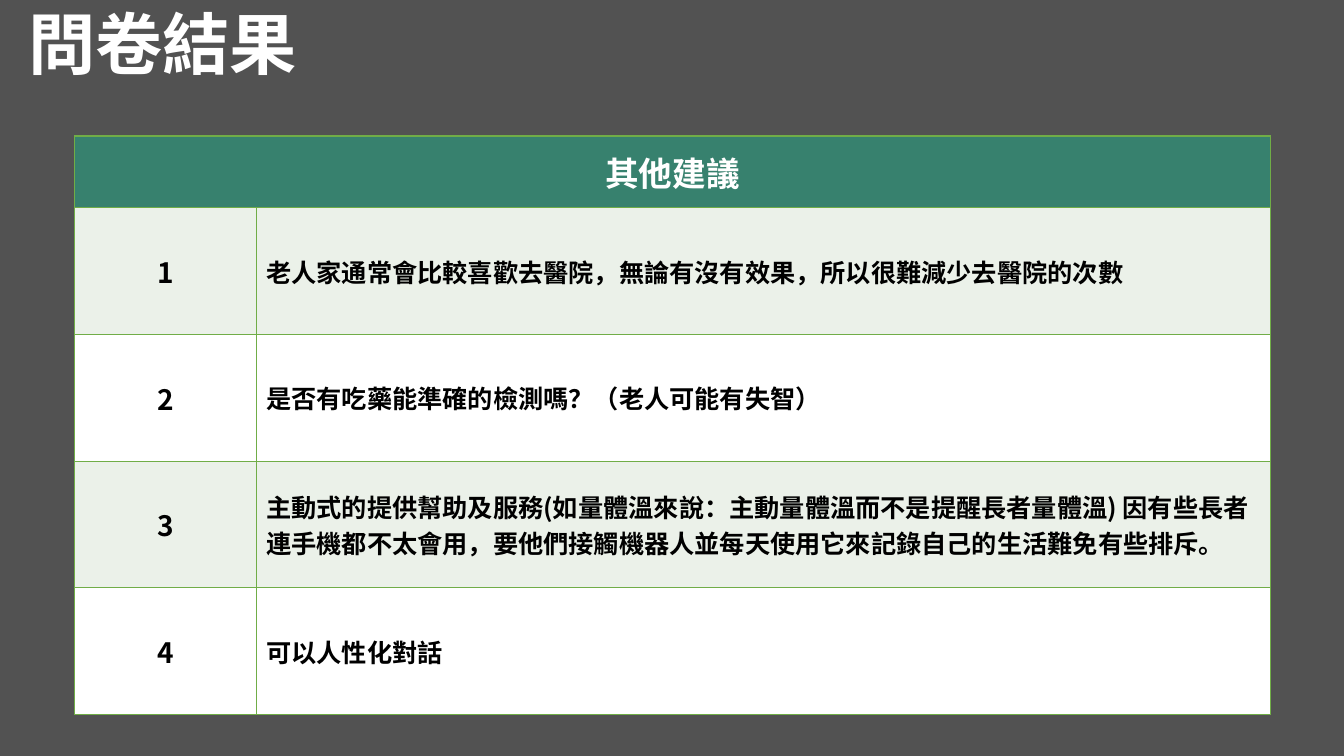
from lxml import etree
from pptx import Presentation
from pptx.dml.color import RGBColor
from pptx.enum.text import MSO_ANCHOR, MSO_AUTO_SIZE, PP_ALIGN
from pptx.oxml.ns import qn
from pptx.util import Inches, Pt

CENTER, LEFT = PP_ALIGN.CENTER, PP_ALIGN.LEFT
MIDDLE, TOP = MSO_ANCHOR.MIDDLE, MSO_ANCHOR.TOP
NO_AUTOFIT = MSO_AUTO_SIZE.NONE
TITLE_ONLY = 5

WIDTH, HEIGHT = 13.33, 7.5
FONT = "Noto Sans CJK SC"
COLORS = {
    "background": "525252",
    "header": "37816E",
    "band": "EBF1E9",
    "plain": "FFFFFF",
    "border": "70AD47",
    "light_text": "FFFFFF",
    "dark_text": "000000",
}

SUGGESTIONS = [
    "老人家通常會比較喜歡去醫院，無論有沒有效果，所以很難減少去醫院的次數",
    "是否有吃藥能準確的檢測嗎？（老人可能有失智）",
    "主動式的提供幫助及服務(如量體溫來說：主動量體溫而不是提醒長者量體溫) "
    "因有些長者連手機都不太會用，要他們接觸機器人並每天使用它來記錄自己的生活難免有些排斥。",
    "可以人性化對話",
]


class SurveySlide:
    def __init__(self, presentation):
        self.slide = presentation.slides.add_slide(
            presentation.slide_layouts[TITLE_ONLY])
        self.width = presentation.slide_width
        self.height = presentation.slide_height
        background = self.slide.background.fill
        background.solid()
        background.fore_color.rgb = self.color("background")

    def color(self, name):
        return RGBColor.from_string(COLORS[name])

    def box(self, left, top, width, height):
        """Turn shares of the slide's size into lengths."""
        return (int(left * self.width), int(top * self.height),
                int(width * self.width), int(height * self.height))

    def set_text(self, frame, text, size, color, align):
        frame.text = text
        paragraph = frame.paragraphs[0]
        paragraph.alignment = align
        for run in paragraph.runs:
            run.font.size = Pt(size)
            run.font.bold = True
            run.font.name = FONT
            run.font.color.rgb = self.color(color)
            properties = run._r.get_or_add_rPr()
            etree.SubElement(properties, qn("a:ea"), typeface=FONT)

    def title(self, text, left, top, width, height):
        heading = self.slide.shapes.title
        heading.left, heading.top, heading.width, heading.height = self.box(
            left, top, width, height)
        frame = heading.text_frame
        self.set_text(frame, text, 48, "light_text", CENTER)
        frame.word_wrap = False
        frame.auto_size = NO_AUTOFIT
        frame.vertical_anchor = TOP

    def border(self, cell):
        properties = cell._tc.get_or_add_tcPr()
        for side in ("a:lnL", "a:lnR", "a:lnT", "a:lnB"):
            line = etree.SubElement(properties, qn(side), w=str(Pt(1)))
            fill = etree.SubElement(line, qn("a:solidFill"))
            etree.SubElement(fill, qn("a:srgbClr"), val=COLORS["border"])

    def cell(self, cell, fill, text, size, color, align=LEFT):
        cell.fill.solid()
        cell.fill.fore_color.rgb = self.color(fill)
        cell.vertical_anchor = MIDDLE
        self.set_text(cell.text_frame, text, size, color, align)

    def suggestion_table(self, heading, suggestions, left, top, width, height,
                         number_share, header_share):
        """Draw a merged heading above numbered rows of equal height."""
        count = len(suggestions)
        area = self.box(left, top, width, height)
        table = self.slide.shapes.add_table(count + 1, 2, *area).table
        table_width, table_height = area[2:]
        for column, share in zip(table.columns, (number_share, 1 - number_share)):
            column.width = int(table_width * share)
        row_shares = [header_share] + [(1 - header_share) / count] * count
        for row, share in zip(table.rows, row_shares):
            row.height = int(table_height * share)
        for cell in table.iter_cells():
            self.border(cell)

        table.cell(0, 0).merge(table.cell(0, 1))
        self.cell(table.cell(0, 0), "header", heading, 24, "light_text", CENTER)
        for number, suggestion in enumerate(suggestions, 1):
            fill = "band" if number % 2 else "plain"
            self.cell(table.cell(number, 0), fill, str(number), 20,
                      "dark_text", CENTER)
            self.cell(table.cell(number, 1), fill, suggestion, 18, "dark_text")


def main():
    presentation = Presentation()
    presentation.slide_width = Inches(WIDTH)
    presentation.slide_height = Inches(HEIGHT)
    survey = SurveySlide(presentation)
    survey.title("問卷結果", 0, -0.03 / HEIGHT, 3.23 / WIDTH, 0.91 / HEIGHT)
    survey.suggestion_table(
        "其他建議", SUGGESTIONS,
        0.74 / WIDTH, 1.35 / HEIGHT, 11.86 / WIDTH, 5.74 / HEIGHT,
        number_share=1.8 / 11.86, header_share=0.71 / 5.74)
    presentation.save("out.pptx")


if __name__ == "__main__":
    main()
